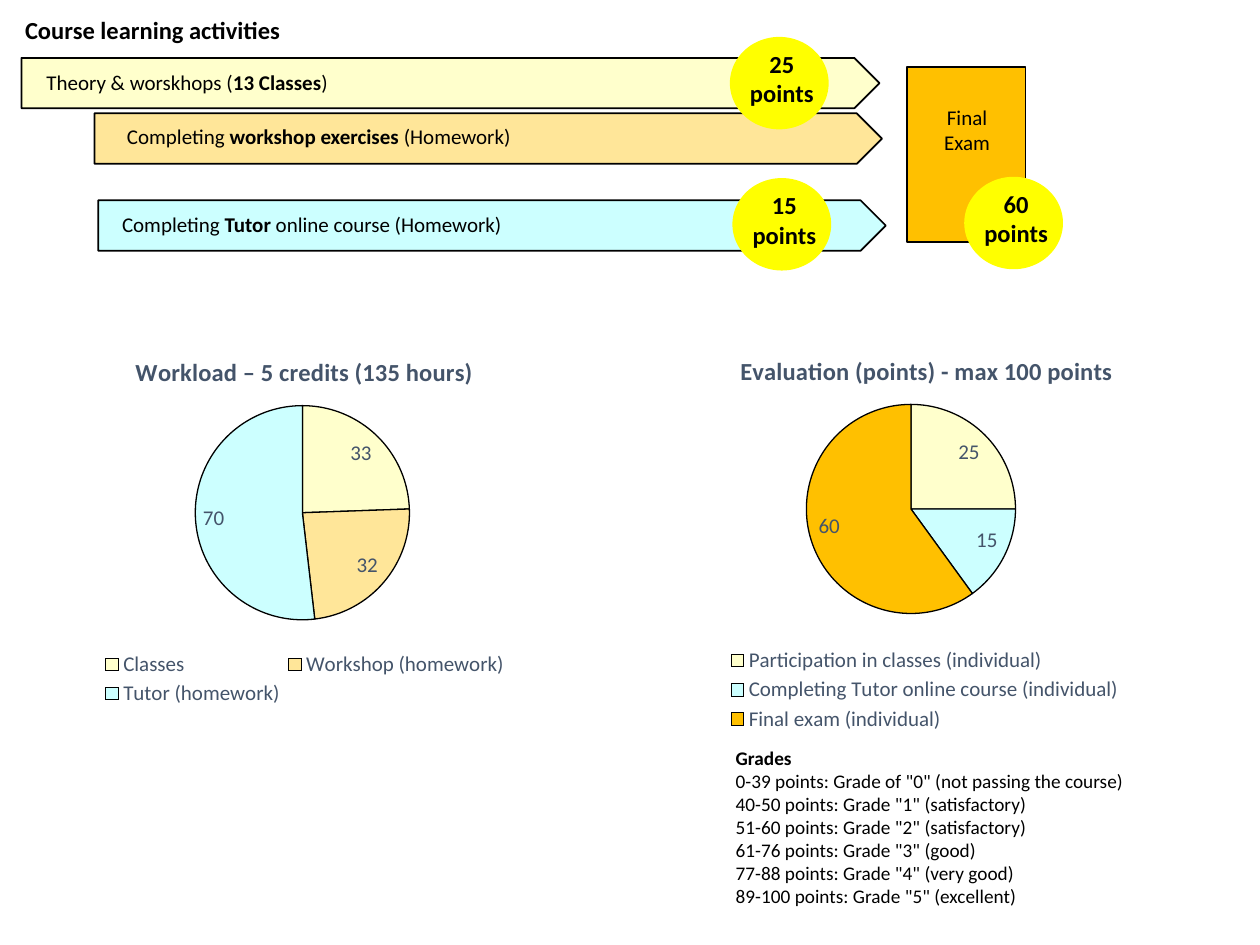
from dataclasses import dataclass
from typing import NamedTuple

from lxml import etree
from pptx import Presentation
from pptx.chart.data import CategoryChartData
from pptx.dml.color import RGBColor
from pptx.enum.chart import XL_CHART_TYPE, XL_LABEL_POSITION, XL_LEGEND_POSITION
from pptx.enum.shapes import MSO_SHAPE
from pptx.enum.text import MSO_AUTO_SIZE, PP_ALIGN
from pptx.oxml.ns import qn
from pptx.util import Inches, Pt

FONT = "Calibri"
BLACK = RGBColor(0x00, 0x00, 0x00)
SLATE = RGBColor(0x44, 0x54, 0x6A)
CREAM = RGBColor(0xFF, 0xFF, 0xCC)
SAND = RGBColor(0xFF, 0xE6, 0x99)
AQUA = RGBColor(0xCC, 0xFF, 0xFF)
AMBER = RGBColor(0xFF, 0xC0, 0x00)
YELLOW = RGBColor(0xFF, 0xFF, 0x00)

prs = Presentation()
prs.slide_width, prs.slide_height = Inches(10), Inches(7.5)
slide = prs.slides.add_slide(prs.slide_layouts[6])
COLUMN = prs.slide_width / 100
ROW = prs.slide_height / 75


class Box(NamedTuple):
    """A place on the slide's grid of 100 columns and 75 rows."""
    left: float
    top: float
    width: float
    height: float

    def emu(self) -> list[int]:
        """Return the box in slide units."""
        return [round(v * u) for v, u in zip(self, (COLUMN, ROW) * 2)]


class Run(NamedTuple):
    """A piece of text in one weight."""
    text: str
    bold: bool = False


@dataclass
class Activity:
    """An arrow bar with its label."""
    bar: Box
    color: RGBColor
    label: Box
    runs: list[Run]


@dataclass
class Badge:
    """A yellow disc giving points."""
    left: float
    top: float
    points: int


@dataclass
class Pie:
    """A pie chart with the places of its parts."""
    title: str
    frame: Box
    title_at: Box
    plot: Box
    legend: Box
    slices: list[tuple[str, int, RGBColor]]


def add_figure(kind: MSO_SHAPE, box: Box, fill: RGBColor, line: RGBColor = BLACK) -> None:
    """Draw a filled, outlined preset shape."""
    shape = slide.shapes.add_shape(kind, *box.emu())
    shape.shadow.inherit = False
    shape.fill.solid()
    shape.fill.fore_color.rgb = fill
    shape.line.color.rgb = line
    shape.line.width = Pt(1)


def add_text(box: Box, paragraphs: list[list[Run]], size: float = 12,
             wrap: bool = True, centered: bool = False) -> None:
    """Write paragraphs of runs in a text box."""
    frame = slide.shapes.add_textbox(*box.emu()).text_frame
    frame.word_wrap = wrap
    frame.auto_size = MSO_AUTO_SIZE.SHAPE_TO_FIT_TEXT
    for index, runs in enumerate(paragraphs):
        paragraph = frame.add_paragraph() if index else frame.paragraphs[0]
        paragraph.alignment = PP_ALIGN.CENTER if centered else PP_ALIGN.LEFT
        for text, bold in runs:
            run = paragraph.add_run()
            run.text = text
            set_font(run.font, size, BLACK, bold)


def set_font(font, size: float, color: RGBColor, bold: bool = False) -> None:
    """Set the face, size, weight and colour of a font."""
    font.name, font.size, font.bold = FONT, Pt(size), bold
    font.color.rgb = color


def place(part, frame: Box, box: Box, inner: bool = False, sized: bool = True) -> None:
    """Give a chart part a fixed place inside the chart frame."""
    for old in part.findall(qn("c:layout")):
        part.remove(old)
    layout = etree.Element(qn("c:layout"))
    manual = etree.SubElement(layout, qn("c:manualLayout"))
    values = {"layoutTarget": "inner"} if inner else {}
    values |= {"xMode": "edge", "yMode": "edge",
               "x": (box.left - frame.left) / frame.width,
               "y": (box.top - frame.top) / frame.height}
    if sized:
        values |= {"w": box.width / frame.width, "h": box.height / frame.height}
    for name, value in values.items():
        etree.SubElement(manual, qn(f"c:{name}")).set("val", str(value))
    before = [child for child in part if child.tag in (qn("c:tx"), qn("c:legendPos"))]
    part.insert(part.index(before[-1]) + 1 if before else 0, layout)


def add_pie(pie: Pie) -> None:
    """Draw a pie chart with title, values and legend."""
    data = CategoryChartData()
    data.categories = [name for name, _, _ in pie.slices]
    data.add_series(pie.title, [value for _, value, _ in pie.slices])
    chart = slide.shapes.add_chart(XL_CHART_TYPE.PIE, *pie.frame.emu(), data).chart
    set_font(chart.font, 10, BLACK)

    chart.has_title = True
    title = chart.chart_title.text_frame.paragraphs[0].add_run()
    title.text = pie.title
    set_font(title.font, 14, SLATE, True)

    chart.has_legend = True
    chart.legend.position = XL_LEGEND_POSITION.BOTTOM
    chart.legend.include_in_layout = False
    set_font(chart.legend.font, 12, SLATE)

    plot = chart.plots[0]
    plot.vary_by_categories = True
    plot.has_data_labels = True
    plot.data_labels.show_value = True
    plot.data_labels.show_percentage = False
    plot.data_labels.position = XL_LABEL_POSITION.INSIDE_END
    set_font(plot.data_labels.font, 12, SLATE)
    for index, (_, _, color) in enumerate(pie.slices):
        style = plot.series[0].points[index].format
        style.fill.solid()
        style.fill.fore_color.rgb = color
        style.line.color.rgb = BLACK
        style.line.width = Pt(0.75)

    root = chart.element.find(qn("c:chart"))
    place(root.find(qn("c:title")), pie.frame, pie.title_at, sized=False)
    place(root.find(qn("c:plotArea")), pie.frame, pie.plot, inner=True)
    place(root.find(qn("c:legend")), pie.frame, pie.legend)


ACTIVITIES = [
    Activity(Box(1.7, 4.6, 68.1, 4), CREAM, Box(2.7, 5, 74.1, 3),
             [Run("Theory & worskhops ("), Run("13 Classes", True), Run(")")]),
    Activity(Box(7.5, 9, 62.5, 4), SAND, Box(9.1, 9.3, 56.4, 3),
             [Run("Completing "), Run("workshop exercises ", True), Run("(Homework)")]),
    Activity(Box(7.8, 15.9, 62.5, 4), AQUA, Box(8.7, 16.3, 55.1, 3),
             [Run("Completing "), Run("Tutor", True), Run(" online course (Homework)")]),
]
BADGES = [Badge(58, 3, 25), Badge(58.2, 14.2, 15), Badge(76.6, 14.1, 60)]
PIES = [
    Pie("Workload – 5 credits (135 hours)", Box(-1.5, 26.1, 51.1, 30.4),
        Box(10.4, 27.8, 27, 3), Box(15.5, 32.2, 17, 17), Box(7.7, 51.4, 33, 5),
        [("Classes", 33, CREAM), ("Workshop (homework)", 32, SAND),
         ("Tutor (homework)", 70, AQUA)]),
    Pie("Evaluation (points) - max 100 points", Box(48.7, 26, 49, 32.5),
        Box(58.4, 27.7, 30, 3), Box(64, 32.1, 16.6, 16.6), Box(57.4, 51.1, 32, 7.3),
        [("Participation in classes (individual)", 25, CREAM),
         ("Completing Tutor online course (individual)", 15, AQUA),
         ("Final exam (individual)", 60, AMBER)]),
]
GRADES = [
    '0-39 points: Grade of "0" (not passing the course)',
    '40-50 points: Grade "1" (satisfactory)',
    '51-60 points: Grade "2" (satisfactory)',
    '61-76 points: Grade "3" (good)',
    '77-88 points: Grade "4" (very good)',
    '89-100 points: Grade "5" (excellent)',
]

add_text(Box(1, 0.7, 22.5, 3.4), [[Run("Course learning activities", True)]], 14, wrap=False)
for activity in ACTIVITIES:
    add_figure(MSO_SHAPE.PENTAGON, activity.bar, activity.color)
    add_text(activity.label, [activity.runs])
for chart_spec in PIES:
    add_pie(chart_spec)
add_text(Box(57.4, 58.7, 32.8, 14),
         [[Run("Grades", True)], *([Run(grade)] for grade in GRADES)], 11)
add_figure(MSO_SHAPE.RECTANGLE, Box(72, 5.3, 9.4, 13.9), AMBER)
add_text(Box(73.9, 7.8, 5.7, 5), [[Run("Final")], [Run("Exam")]], wrap=False, centered=True)
for badge in BADGES:
    add_figure(MSO_SHAPE.OVAL, Box(badge.left, badge.top, 7.7, 7.2), YELLOW, YELLOW)
    add_text(Box(badge.left + 0.5, badge.top + 0.4, 7.1, 5.7),
             [[Run(str(badge.points), True)], [Run("points", True)]],
             14, wrap=False, centered=True)

prs.save("out.pptx")
